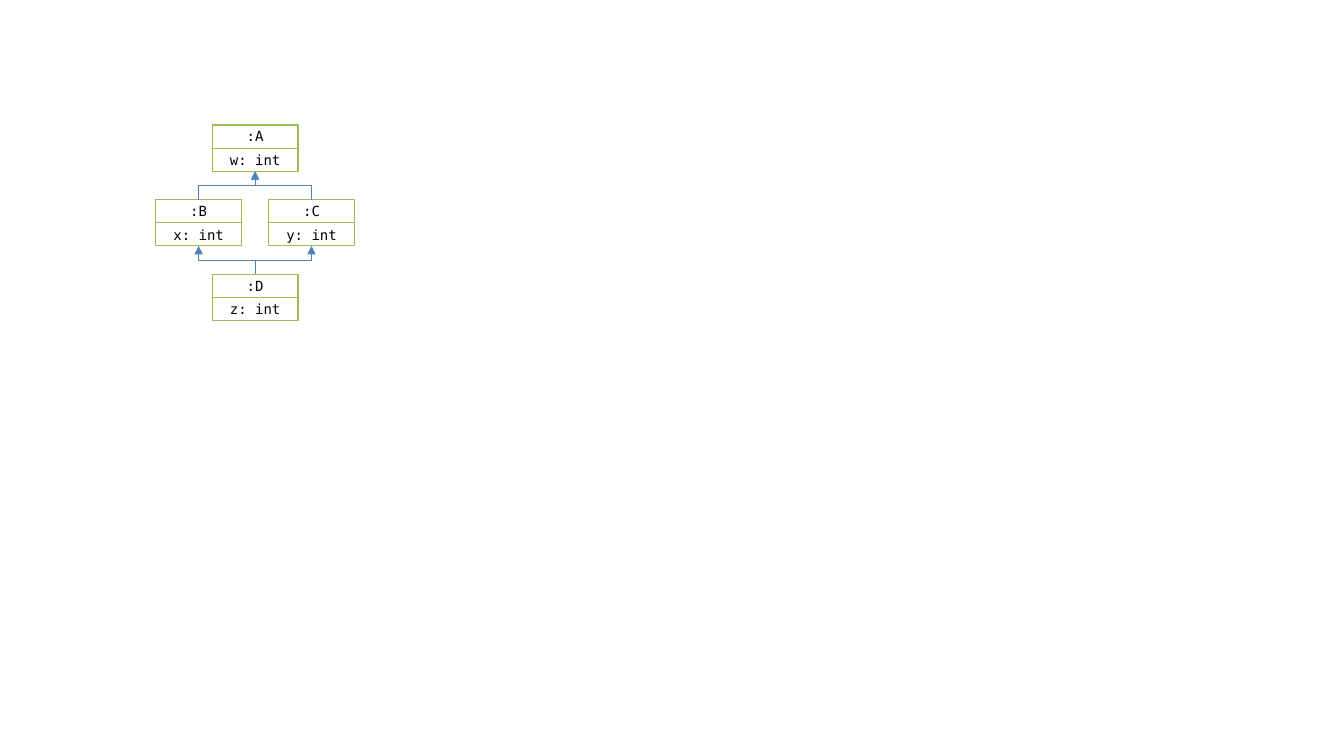
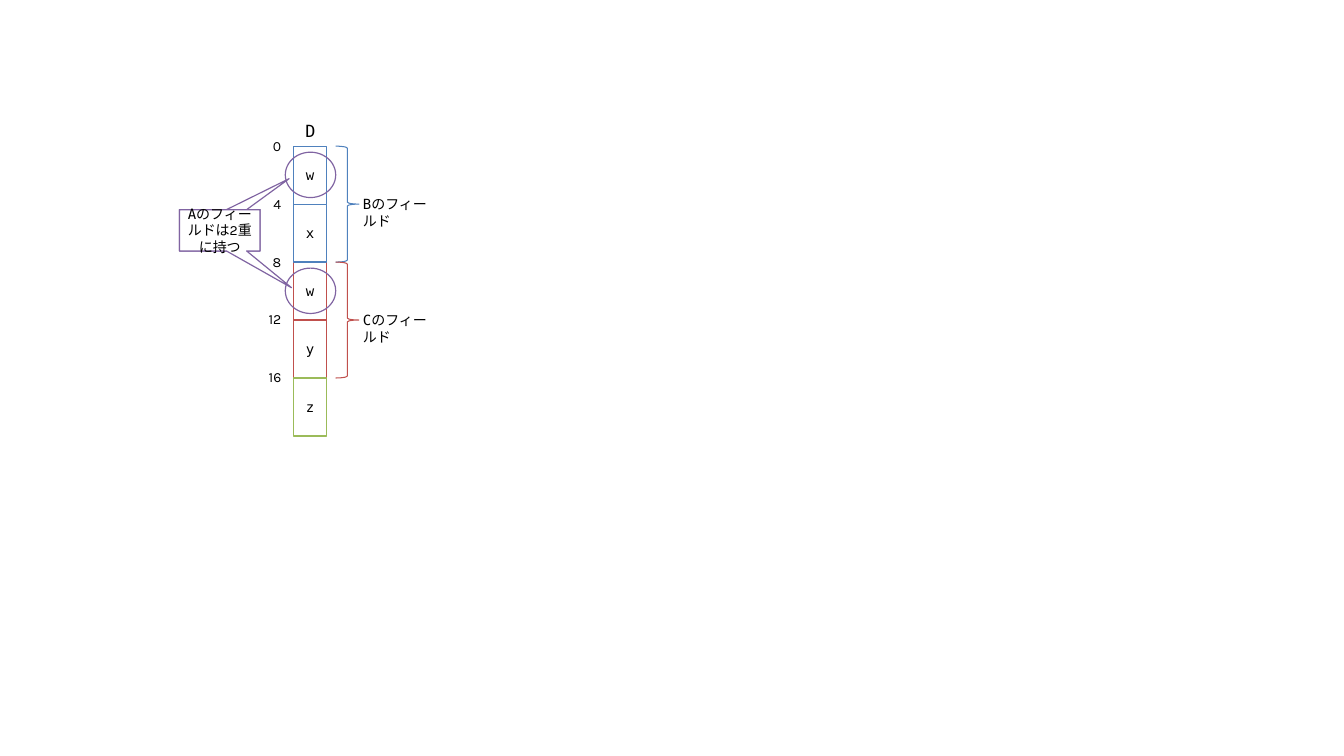
from dataclasses import dataclass

from lxml import etree
from pptx import Presentation
from pptx.dml.color import RGBColor
from pptx.enum.shapes import MSO_CONNECTOR, MSO_SHAPE
from pptx.enum.text import MSO_ANCHOR, PP_ALIGN
from pptx.oxml.ns import qn
from pptx.util import Inches, Pt

RECT, ELLIPSE = MSO_SHAPE.RECTANGLE, MSO_SHAPE.OVAL
BRACE, CALLOUT = MSO_SHAPE.RIGHT_BRACE, MSO_SHAPE.RECTANGULAR_CALLOUT
STRAIGHT, ELBOW = MSO_CONNECTOR.STRAIGHT, MSO_CONNECTOR.ELBOW
LEFT, CENTER, RIGHT = PP_ALIGN.LEFT, PP_ALIGN.CENTER, PP_ALIGN.RIGHT
TOP, MIDDLE = MSO_ANCHOR.TOP, MSO_ANCHOR.MIDDLE

MONO, SANS = "DejaVu Sans Mono", "Karla"
BLACK, WHITE = "000000", "FFFFFF"
BLUE, RED, GREEN, PURPLE = "4F81BD", "C0504D", "9BBB59", "8064A2"
INSET = 0.04
BORDER, THIN = 0.85, 0.75

CLASS_W, CLASS_H = 0.85, 0.46
FIELD_X, FIELD_TOP, FIELD_W = 2.91, 1.45, 0.33
BRACE_X, BRACE_W, BRACE_H = 3.33, 0.23, 1.15
FIELD_H = BRACE_H / 2
FIELD_BYTES = 4


@dataclass
class ClassBox:
    name: str
    field: str
    cx: float
    top: float

    @property
    def bottom(self) -> float:
        return self.top + CLASS_H


@dataclass
class Field:
    name: str
    row: int
    color: str


@dataclass
class FieldGroup:
    name: str
    row: int
    color: str


def rgb(color: str) -> RGBColor:
    return RGBColor.from_string(color)


def write(sp, paragraphs, *, size=10, align=CENTER, anchor=MIDDLE,
          wrap=True, gap=0) -> None:
    """Each paragraph is a list of (text, font) pairs."""
    tf = sp.text_frame
    tf.word_wrap = wrap
    tf.vertical_anchor = anchor
    tf.margin_left = tf.margin_right = Inches(INSET)
    tf.margin_top = tf.margin_bottom = Inches(INSET)
    for i, runs in enumerate(paragraphs):
        p = tf.add_paragraph() if i else tf.paragraphs[0]
        p.alignment = align
        if i:
            p.space_before = Pt(gap)
        for text, font in runs:
            r = p.add_run()
            r.text = text
            r.font.size = Pt(size)
            r.font.name = font
            r.font.color.rgb = rgb(BLACK)


def add_label(slide, x: float, y: float, w: float, h: float, runs,
              **fmt) -> None:
    sp = slide.shapes.add_textbox(Inches(x), Inches(y), Inches(w), Inches(h))
    write(sp, [runs], anchor=TOP, **fmt)


def add_outline(slide, kind, x: float, y: float, w: float, h: float,
                color: str, *, fill=None, width=BORDER):
    sp = slide.shapes.add_shape(kind, Inches(x), Inches(y), Inches(w), Inches(h))
    sp.shadow.inherit = False
    sp.line.color.rgb = rgb(color)
    sp.line.width = Pt(width)
    if fill:
        sp.fill.solid()
        sp.fill.fore_color.rgb = rgb(fill)
    else:
        sp.fill.background()
    return sp


def add_line(slide, kind, x1: float, y1: float, x2: float, y2: float,
             color: str):
    cxn = slide.shapes.add_connector(kind, Inches(x1), Inches(y1),
                                     Inches(x2), Inches(y2))
    cxn.line.color.rgb = rgb(color)
    cxn.line.width = Pt(THIN)
    etree.SubElement(cxn._element.spPr, qn("a:effectLst"))
    return cxn


def add_class(slide, box: ClassBox) -> None:
    x, mid = box.cx - CLASS_W / 2, box.top + CLASS_H / 2
    sp = add_outline(slide, RECT, x, box.top, CLASS_W, CLASS_H, GREEN, fill=WHITE)
    write(sp, [[(f":{box.name}", MONO)], [(f"{box.field}: int", MONO)]], gap=5)
    add_line(slide, STRAIGHT, x, mid, x + CLASS_W, mid, GREEN)


def add_inheritance(slide, child: ClassBox, parent: ClassBox) -> None:
    cx, cy = (child.cx + parent.cx) / 2, (child.top + parent.bottom) / 2
    side = 1 if parent.cx > child.cx else -1
    dx = side * (child.top - parent.bottom) / 2
    dy = abs(parent.cx - child.cx) / 2
    cxn = add_line(slide, ELBOW, cx + dx, cy + dy, cx - dx, cy - dy, BLUE)
    rotation = 90 if side > 0 else 270
    cxn._element.spPr.find(qn("a:xfrm")).set("rot", str(rotation * 60000))
    etree.SubElement(cxn.line._get_or_add_ln(), qn("a:tailEnd"), type="triangle")


def row_top(row: int) -> float:
    return FIELD_TOP + row * FIELD_H


def add_field(slide, field: Field) -> None:
    sp = add_outline(slide, RECT, FIELD_X, row_top(field.row), FIELD_W, FIELD_H,
                     field.color, fill=WHITE)
    write(sp, [[(field.name, MONO)]])


def add_group(slide, group: FieldGroup) -> None:
    y = row_top(group.row)
    add_outline(slide, BRACE, BRACE_X, y, BRACE_W, BRACE_H, group.color, width=THIN)
    add_label(slide, BRACE_X + BRACE_W, y + 0.45, 0.78, 0.25,
              [(group.name, MONO), ("のフィールド", SANS)], align=LEFT)


def build_class_diagram(prs) -> None:
    slide = prs.slides.add_slide(prs.slide_layouts[6])
    a = ClassBox("A", "w", 2.53, 1.24)
    b = ClassBox("B", "x", 1.97, 1.98)
    c = ClassBox("C", "y", 3.09, 1.98)
    d = ClassBox("D", "z", 2.53, 2.72)
    for box in (a, b, c, d):
        add_class(slide, box)
    for child, parent in ((b, a), (c, a), (d, b), (d, c)):
        add_inheritance(slide, child, parent)


def build_memory_layout(prs) -> None:
    slide = prs.slides.add_slide(prs.slide_layouts[6])
    fields = [Field("w", 2, RED), Field("y", 3, RED), Field("w", 0, BLUE),
              Field("x", 1, BLUE), Field("z", 4, GREEN)]
    for field in fields:
        add_label(slide, 2.6, row_top(field.row) - 0.13, 0.23, 0.25,
                  [(str(field.row * FIELD_BYTES), SANS)], align=RIGHT, wrap=False)
    for field in fields:
        add_field(slide, field)
    add_label(slide, 2.99, 1.16, 0.17, 0.28, [("D", MONO)], size=12,
              align=LEFT, wrap=False)
    for group in (FieldGroup("B", 0, BLUE), FieldGroup("C", 2, RED)):
        add_group(slide, group)
    for row in (0, 2):
        add_outline(slide, ELLIPSE, 2.83, row_top(row) + 0.06, 0.5, 0.45, PURPLE)
    for tip in ((0.86, -1.25), (0.89, 1.39)):
        sp = add_outline(slide, CALLOUT, 1.78, 2.08, 0.8, 0.41, PURPLE, fill=WHITE)
        sp.adjustments[0], sp.adjustments[1] = tip
        write(sp, [[("A", MONO), ("のフィールドは2重に持つ", SANS)]])


prs = Presentation()
prs.slide_width, prs.slide_height = Inches(13.33), Inches(7.5)
build_class_diagram(prs)
build_memory_layout(prs)
prs.save("out.pptx")
